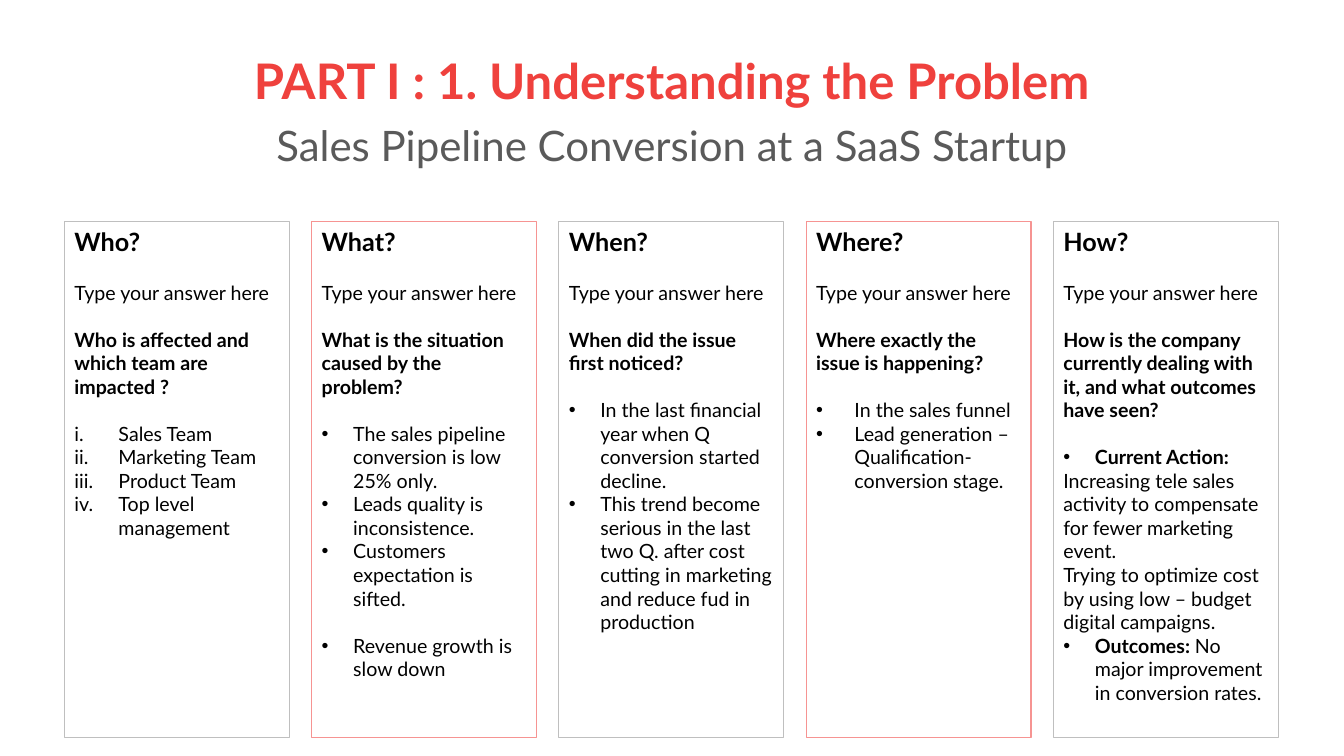
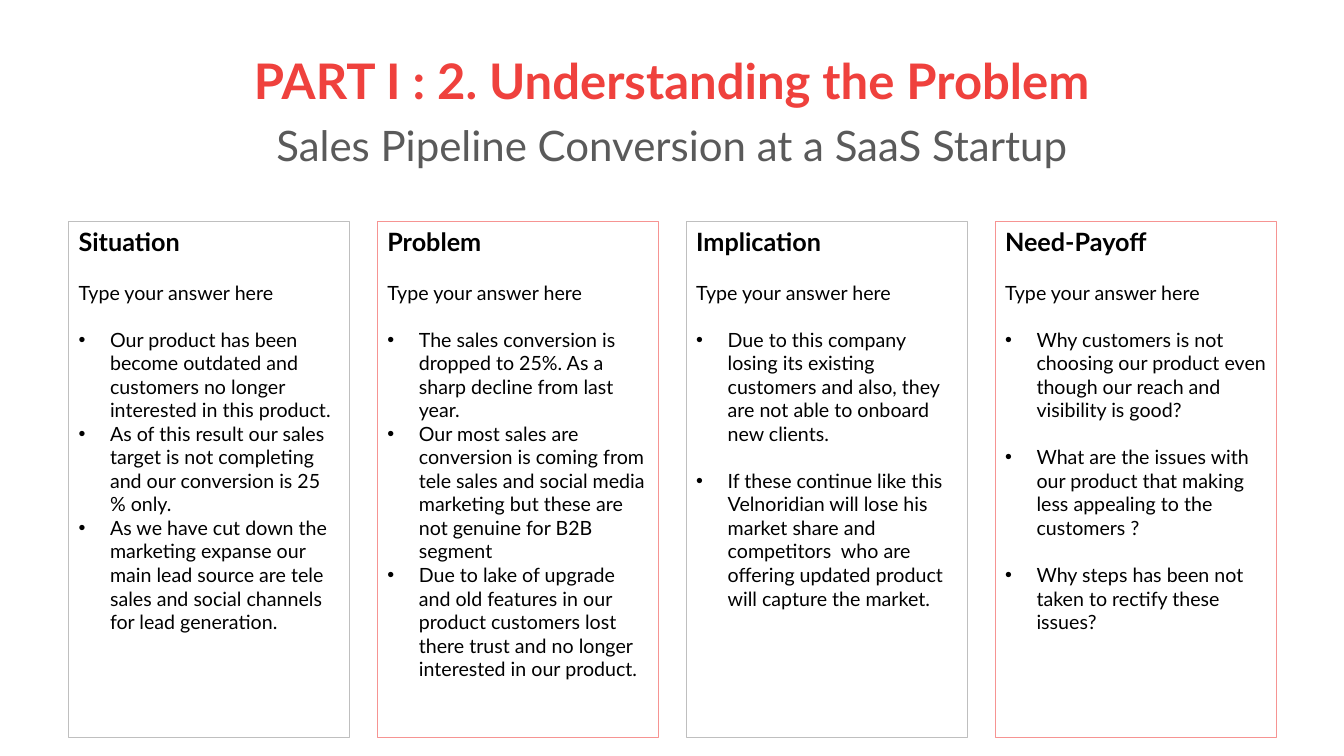
from dataclasses import dataclass

from lxml.etree import SubElement
from pptx import Presentation
from pptx.dml.color import RGBColor
from pptx.enum.shapes import MSO_SHAPE
from pptx.enum.text import MSO_ANCHOR, PP_ALIGN
from pptx.oxml.ns import qn
from pptx.util import Pt


@dataclass(frozen=True)
class Theme:
    face: str = "Lato"
    red: str = "EF413D"
    grey: str = "5A5A5A"
    ink: str = "000000"
    edges: tuple = ("BFBFBF", "F69492")
    title: int = 35
    sub: int = 30
    head: int = 18
    body: int = 14
    gap: float = 16.8


MARKS = {
    "dot": (22.5, "buChar", {"char": "•"}),
    "wide": (27.4, "buChar", {"char": "•"}),
    "roman": (31.5, "buAutoNum", {"type": "romanLcPeriod"}),
}


@dataclass
class Note:
    kind: str
    text: str
    gap: int = 0
    lead: str = ""


def apply(item, form):
    for name, value in form.items():
        setattr(item, name, value)


class Deck:
    def __init__(self, theme):
        self.theme = theme
        self.prs = Presentation()
        apply(self.prs, {"slide_width": Pt(960), "slide_height": Pt(540)})
        self.slide = None

    def page(self):
        self.slide = self.prs.slides.add_slide(self.prs.slide_layouts[6])

    def run(self, para, text, size, color, bold=False):
        run = para.add_run()
        run.text = text
        apply(run.font, {"name": self.theme.face, "size": Pt(size), "bold": bold})
        run.font.color.rgb = RGBColor.from_string(color)

    def title(self, main, sub):
        look = self.theme
        box = self.slide.shapes.add_textbox(Pt(66), Pt(28.8), Pt(828), Pt(104.4))
        frame = box.text_frame
        apply(frame, {"word_wrap": True, "vertical_anchor": MSO_ANCHOR.MIDDLE})
        lines = (
            (frame.paragraphs[0], main, look.title, look.red, True, 0),
            (frame.add_paragraph(), sub, look.sub, look.grey, False, 10.8),
        )
        for para, text, size, color, bold, gap in lines:
            apply(para, {"alignment": PP_ALIGN.CENTER, "line_spacing": 0.9,
                         "space_before": Pt(gap)})
            self.run(para, text, size, color, bold)

    def mark(self, para, kind):
        dent, tag, value = MARKS[kind]
        props = para._p.get_or_add_pPr()
        props.set("marL", str(Pt(dent)))
        props.set("indent", str(-Pt(dent)))
        tint = SubElement(props, qn("a:buClr"))
        SubElement(tint, qn("a:srgbClr"), val=self.theme.ink)
        SubElement(props, qn("a:buFont"), typeface="Arial" if tag == "buChar" else "+mj-lt")
        SubElement(props, qn(f"a:{tag}"), value)

    def note(self, frame, note):
        look = self.theme
        para = frame.add_paragraph()
        apply(para, {"alignment": PP_ALIGN.LEFT, "space_before": Pt(note.gap * look.gap)})
        if note.kind in MARKS:
            self.mark(para, note.kind)
        if note.lead:
            self.run(para, note.lead, look.body, look.ink, True)
        if note.text:
            self.run(para, note.text, look.body, look.ink, note.kind == "ask")

    def panel(self, left, width, edge, head, notes):
        look = self.theme
        box = self.slide.shapes.add_shape(
            MSO_SHAPE.RECTANGLE, Pt(left), Pt(158.4), Pt(width), Pt(368.6))
        box.shadow.inherit = False
        box.fill.background()
        box.line.color.rgb = RGBColor.from_string(edge)
        box.line.width = Pt(0.75)
        frame = box.text_frame
        apply(frame, {"word_wrap": True, "vertical_anchor": MSO_ANCHOR.TOP})
        para = frame.paragraphs[0]
        para.alignment = PP_ALIGN.LEFT
        self.run(para, head, look.head, look.ink, True)
        for note in [Note("plain", "Type your answer here", 1), *notes]:
            self.note(frame, note)

    def panels(self, left, width, step, items):
        edges = self.theme.edges
        for i, (head, notes) in enumerate(items):
            self.panel(left + i * step, width, edges[i % len(edges)], head, notes)


FACTS = [
    ("Who?", [
        Note("ask", "Who is affected and which team are impacted ?", 1),
        Note("roman", "Sales Team", 1),
        Note("roman", "Marketing Team"),
        Note("roman", "Product Team"),
        Note("roman", "Top level management"),
    ]),
    ("What?", [
        Note("ask", "What is the situation caused by the problem?", 1),
        Note("dot", "The sales pipeline conversion is low 25% only.", 1),
        Note("dot", "Leads quality is inconsistence."),
        Note("dot", "Customers expectation is sifted."),
        Note("dot", "Revenue growth is slow down", 1),
    ]),
    ("When?", [
        Note("ask", "When did the issue first noticed?", 1),
        Note("dot", "In the last financial year when Q conversion started decline.", 1),
        Note("dot", "This trend become serious in the last two Q. after cost cutting "
                    "in marketing and reduce fud in production"),
    ]),
    ("Where?", [
        Note("ask", "Where exactly the issue is happening?", 1),
        Note("wide", "In the sales funnel", 1),
        Note("wide", "Lead generation – Qualification-conversion stage."),
    ]),
    ("How?", [
        Note("ask", "How is the company currently dealing with it, "
                    "and what outcomes have seen?", 1),
        Note("dot", "", 1, "Current Action:"),
        Note("plain", "Increasing tele sales activity to compensate "
                      "for fewer marketing event."),
        Note("plain", "Trying to optimize cost by using low – budget digital campaigns."),
        Note("dot", "No major improvement in conversion rates.", 0, "Outcomes: "),
    ]),
]

NEEDS = [
    ("Situation", [
        Note("dot", "Our product has been become outdated and customers "
                    "no longer interested in this product.", 1),
        Note("dot", "As of this result our sales target is not completing "
                    "and our conversion is 25 % only."),
        Note("dot", "As we have cut down the marketing expanse our main lead source "
                    "are tele sales and social channels for lead generation."),
    ]),
    ("Problem", [
        Note("dot", "The sales conversion is dropped to 25%. "
                    "As a sharp decline from last year.", 1),
        Note("dot", "Our most sales are conversion is coming from tele sales and "
                    "social media marketing but these are not genuine for B2B segment"),
        Note("dot", "Due to lake of upgrade and old features in our product customers "
                    "lost there trust and no longer interested in our product."),
    ]),
    ("Implication", [
        Note("dot", "Due to this company losing its existing customers and also, "
                    "they are not able to onboard new clients.", 1),
        Note("dot", "If these continue like this Velnoridian will lose his market share "
                    "and competitors  who are offering updated product "
                    "will capture the market.", 1),
    ]),
    ("Need-Payoff", [
        Note("dot", "Why customers is not choosing our product even though "
                    "our reach and visibility is good?", 1),
        Note("dot", "What are the issues with our product that making "
                    "less appealing to the customers ?", 1),
        Note("dot", "Why steps has been not taken to rectify these issues?", 1),
    ]),
]


def main():
    deck = Deck(Theme())
    pages = ((46.1, 160.6, 176.6, FACTS), (49, 200.9, 220.6, NEEDS))
    for count, (left, width, step, items) in enumerate(pages, 1):
        deck.page()
        deck.title(f"PART I : {count}. Understanding the Problem",
                   "Sales Pipeline Conversion at a SaaS Startup")
        deck.panels(left, width, step, items)
    deck.prs.save("out.pptx")


if __name__ == "__main__":
    main()
